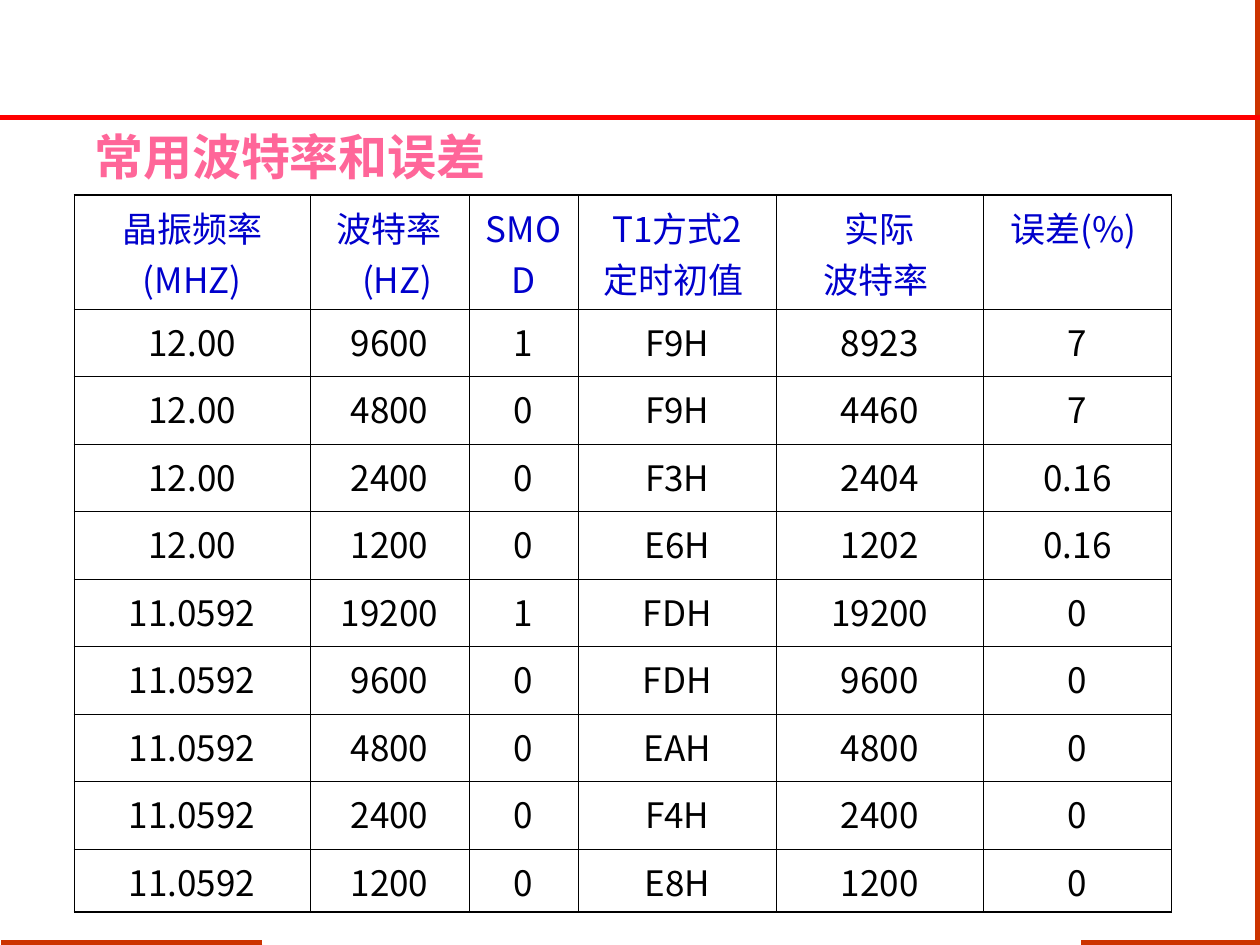
from dataclasses import dataclass

from lxml.etree import SubElement
from pptx import Presentation
from pptx.dml.color import RGBColor as RGB
from pptx.enum.shapes import MSO_CONNECTOR as Connector
from pptx.enum.text import MSO_ANCHOR as Anchor, PP_ALIGN as Align
from pptx.oxml.ns import qn
from pptx.util import Pt


@dataclass(frozen=True)
class Theme:
    title_color: str = "FF6699"
    header_color: str = "0000CC"
    body_color: str = "000000"
    border_color: str = "000000"
    frame_color: str = "CC3300"
    rule_color: str = "FF0000"
    title_font: str = "Times New Roman"
    cjk_font: str = "Noto Sans CJK SC"
    title_size: float = 28
    table_size: float = 20
    frame_width: float = 3
    inner_border: float = 0.45
    outer_border: float = 1.08


THEME = Theme()
SLIDE_BOX = (0, 0, 720, 540)
TITLE_BOX = (46.8, 60.5, 612, 57.6)
TABLE_BOX = (42.5, 111.6, 627.1, 409.7)

COLUMN_WIDTHS = [134.7, 90.8, 62.5, 113.2, 118.3, 107.6]
HEADER_HEIGHT = 65
LAST_ROW_HEIGHT = 36
HEADERS = ["晶振频率(MHZ)", "波特率\n(HZ)", "SMOD",
           "T1方式2\n定时初值 ", "实际\n波特率 ", "误差(%) "]
UNIT_INDENT = 9  # nudges the (HZ) line right of centre
ROWS = [
    ("12.00", "9600", "1", "F9H", "8923", "7"),
    ("12.00", "4800", "0", "F9H", "4460", "7"),
    ("12.00", "2400", "0", "F3H", "2404", "0.16"),
    ("12.00", "1200", "0", "E6H", "1202", "0.16"),
    ("11.0592", "19200", "1", "FDH", "19200", "0"),
    ("11.0592", "9600", "0", "FDH", "9600", "0"),
    ("11.0592", "4800", "0", "EAH", "4800", "0"),
    ("11.0592", "2400", "0", "F4H", "2400", "0"),
    ("11.0592", "1200", "0", "E8H", "1200", "0"),
]


def set_attributes(target, values):
    for name, value in values.items():
        setattr(target, name, value)


def add_text(paragraph, text, font_name, size, color, bold=False):
    run = paragraph.add_run()
    run.text = text
    set_attributes(run.font, {"name": font_name, "size": Pt(size), "bold": bold})
    run.font.color.rgb = RGB.from_string(color)
    SubElement(run.font._element, qn("a:ea"), typeface=THEME.cjk_font)


def add_line(slide, start, end, color):
    line = slide.shapes.add_connector(
        Connector.STRAIGHT, *(Pt(value) for value in (*start, *end)))
    line.line.width = Pt(THEME.frame_width)
    line.line.color.rgb = RGB.from_string(color)
    SubElement(line._element.spPr, qn("a:effectLst"))


def add_frame(slide, box):
    """Header rule, right edge and the two bottom corner strokes."""
    left, top, width, height = box
    right, bottom = left + width, top + height
    edge_x, edge_y, rule_y = right - 1.5, bottom - 1.5, top + 67
    frame_lines = [
        ((left + 150, edge_y), (left + 0.7, edge_y), THEME.frame_color),
        ((edge_x, bottom), (edge_x, top), THEME.frame_color),
        ((right - 3, edge_y), (right - 102, edge_y), THEME.frame_color),
        ((right, rule_y), (left, rule_y), THEME.rule_color),
    ]
    for start, end, color in frame_lines:
        add_line(slide, start, end, color)


def add_title(slide, box, text):
    frame = slide.shapes.add_textbox(*(Pt(value) for value in box)).text_frame
    set_attributes(frame, {"word_wrap": True, "vertical_anchor": Anchor.MIDDLE})
    add_text(frame.paragraphs[0], text, THEME.title_font, THEME.title_size,
             THEME.title_color, bold=True)


def set_borders(cell, outer_sides):
    properties = cell._tc.get_or_add_tcPr()
    for side in ("L", "R", "T", "B"):
        width = THEME.outer_border if side in outer_sides else THEME.inner_border
        border = SubElement(properties, qn(f"a:ln{side}"), w=str(int(Pt(width))))
        fill = SubElement(border, qn("a:solidFill"))
        SubElement(fill, qn("a:srgbClr"), val=THEME.border_color)


def fill_cell(cell, text, color):
    for index, line in enumerate(text.split("\n")):
        frame = cell.text_frame
        paragraph = frame.add_paragraph() if index else frame.paragraphs[0]
        paragraph.alignment = Align.CENTER
        if line == "(HZ)":
            paragraph._p.get_or_add_pPr().set("marL", str(Pt(UNIT_INDENT)))
        add_text(paragraph, line, THEME.cjk_font, THEME.table_size, color)


def add_baud_table(slide, box):
    rows = [HEADERS, *ROWS]
    table = slide.shapes.add_table(
        len(rows), len(HEADERS), *(Pt(value) for value in box)).table
    set_attributes(table, {"first_row": False, "horz_banding": False})

    # Column widths and row heights
    for column, width in zip(table.columns, COLUMN_WIDTHS):
        column.width = Pt(width)
    middle_height = (box[3] - HEADER_HEIGHT - LAST_ROW_HEIGHT) / (len(rows) - 2)
    heights = [HEADER_HEIGHT, *[middle_height] * (len(rows) - 2), LAST_ROW_HEIGHT]
    for row, height in zip(table.rows, heights):
        row.height = Pt(height)

    # Cells, with heavier borders on the outside
    last_row, last_column = len(rows) - 1, len(HEADERS) - 1
    for r, values in enumerate(rows):
        for c, text in enumerate(values):
            cell = table.cell(r, c)
            edges = {"L": c == 0, "R": c == last_column,
                     "T": r == 0, "B": r == last_row}
            set_borders(cell, [side for side, outer in edges.items() if outer])
            cell.fill.background()
            fill_cell(cell, text, THEME.body_color if r else THEME.header_color)


def main():
    presentation = Presentation()
    set_attributes(presentation, {"slide_width": Pt(SLIDE_BOX[2]),
                                  "slide_height": Pt(SLIDE_BOX[3])})
    slide = presentation.slides.add_slide(presentation.slide_layouts[6])
    add_frame(slide, SLIDE_BOX)
    add_title(slide, TITLE_BOX, "常用波特率和误差")
    add_baud_table(slide, TABLE_BOX)
    presentation.save("out.pptx")


if __name__ == "__main__":
    main()
